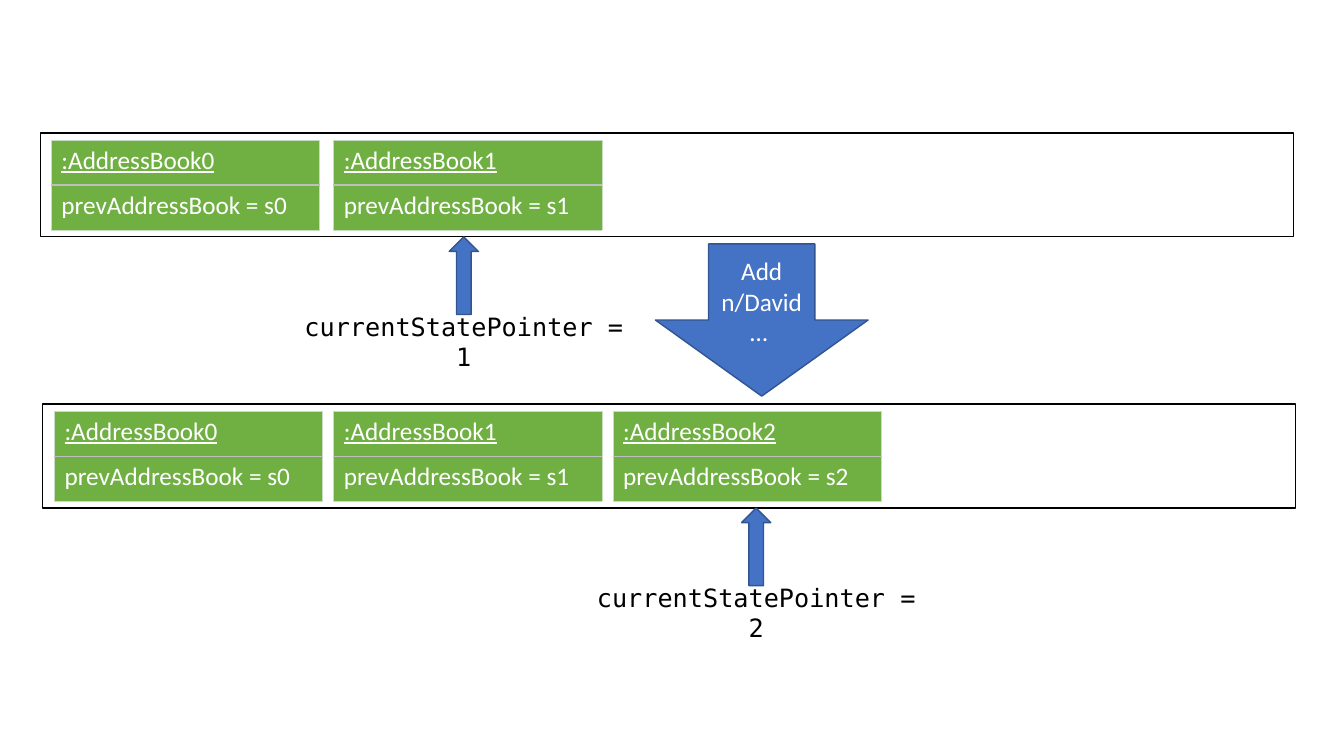
"""Builds a slide showing how adding a person moves the current state pointer."""
from lxml import etree
from pptx import Presentation
from pptx.dml.color import RGBColor
from pptx.enum.shapes import MSO_SHAPE
from pptx.enum.text import MSO_ANCHOR, MSO_AUTO_SIZE, PP_ALIGN
from pptx.oxml.ns import qn
from pptx.util import Inches, Pt

RECTANGLE, UP_ARROW, DOWN_ARROW = MSO_SHAPE.RECTANGLE, MSO_SHAPE.UP_ARROW, MSO_SHAPE.DOWN_ARROW
CENTER, MIDDLE, FIT_SHAPE = PP_ALIGN.CENTER, MSO_ANCHOR.MIDDLE, MSO_AUTO_SIZE.SHAPE_TO_FIT_TEXT

STATES = [
    {"left": 0.4, "top": 1.32, "first_book": 0.51, "pitch": 2.8, "books": 2, "pointer_center": 4.6},
    {"left": 0.42, "top": 4.01, "first_book": 0.54, "pitch": 2.77, "books": 3, "pointer_center": 7.5},
]
COMMAND = "Add n/David… "
COMMAND_BOX = (6.5, 2.42, 2.11, 1.51)

FRAME_WIDTH, FRAME_HEIGHT = 12.43, 1.03
BOOK_WIDTH, BOOK_HEIGHT, BOOK_INSET = 2.66, 0.89, 0.07
POINTER_WIDTH, POINTER_HEIGHT = 0.29, 0.77
LABEL_WIDTH, LABEL_HEIGHT, LABEL_DROP = 3.51, 0.4, 1.72

THEME = {
    "book": "70B043", "arrow": "4472C4", "arrow_line": "325491", "frame_line": "000000",
    "cell_line": "C9DBC1", "divider": "BFBFBF",
    "body": {"name": "Calibri", "size": Pt(18), "color": "FFFFFF"},
    "code": {"name": "DejaVu Sans Mono", "size": Pt(18), "color": "000000"},
}


def write(text_frame, text, style, alignment=None, underline=False):
    text_frame.word_wrap = True
    paragraph = text_frame.paragraphs[0]
    paragraph.alignment = alignment
    run = paragraph.add_run()
    run.text = text
    for name, value in {**style, "underline": underline}.items():
        if name == "color":
            run.font.color.rgb = RGBColor.from_string(value)
        else:
            setattr(run.font, name, value)


def add_shape(slide, kind, box, line, fill=None):
    shape = slide.shapes.add_shape(kind, *map(Inches, box))
    shape.shadow.inherit = False
    if fill:
        shape.fill.solid()
        shape.fill.fore_color.rgb = RGBColor.from_string(fill)
    else:
        shape.fill.background()
    shape.line.color.rgb = RGBColor.from_string(line)
    shape.line.width = Pt(1)
    return shape


def add_border(cell, side, color, width):
    properties = cell._tc.get_or_add_tcPr()
    border = etree.SubElement(properties, qn(f"a:ln{side}"), w=str(Pt(width)))
    fill = etree.SubElement(border, qn("a:solidFill"))
    etree.SubElement(fill, qn("a:srgbClr"), val=color)


def add_book(slide, number, left, top):
    box = map(Inches, (left, top, BOOK_WIDTH, BOOK_HEIGHT))
    table = slide.shapes.add_table(2, 1, *box).table
    rows = [(f":AddressBook{number}", True, "B"), (f"prevAddressBook = s{number}", False, "T")]
    for index, (text, underline, divided_side) in enumerate(rows):
        cell = table.cell(index, 0)
        for side in "LRTB":
            divided = side == divided_side
            add_border(cell, side, THEME["divider" if divided else "cell_line"], 1 if divided else 0.5)
        cell.fill.solid()
        cell.fill.fore_color.rgb = RGBColor.from_string(THEME["book"])
        write(cell.text_frame, text, THEME["body"], underline=underline)


def add_state(slide, state):
    top, center = state["top"], state["pointer_center"]
    for number in range(state["books"]):
        add_book(slide, number, state["first_book"] + number * state["pitch"], top + BOOK_INSET)
    add_shape(slide, RECTANGLE, (state["left"], top, FRAME_WIDTH, FRAME_HEIGHT), THEME["frame_line"])
    pointer_box = (center - POINTER_WIDTH / 2, top + FRAME_HEIGHT, POINTER_WIDTH, POINTER_HEIGHT)
    add_shape(slide, UP_ARROW, pointer_box, THEME["arrow_line"], THEME["arrow"])
    label_box = (center - LABEL_WIDTH / 2, top + LABEL_DROP, LABEL_WIDTH, LABEL_HEIGHT)
    label = slide.shapes.add_textbox(*map(Inches, label_box))
    write(label.text_frame, f"currentStatePointer = {state['books'] - 1}", THEME["code"], CENTER)
    label.text_frame.auto_size = FIT_SHAPE


def main():
    presentation = Presentation()
    presentation.slide_width, presentation.slide_height = Inches(13.33), Inches(7.5)
    slide = presentation.slides.add_slide(presentation.slide_layouts[6])
    for state in STATES:
        add_state(slide, state)
    command = add_shape(slide, DOWN_ARROW, COMMAND_BOX, THEME["arrow_line"], THEME["arrow"])
    command.text_frame.vertical_anchor = MIDDLE
    write(command.text_frame, COMMAND, THEME["body"], CENTER)
    presentation.save("out.pptx")


if __name__ == "__main__":
    main()
